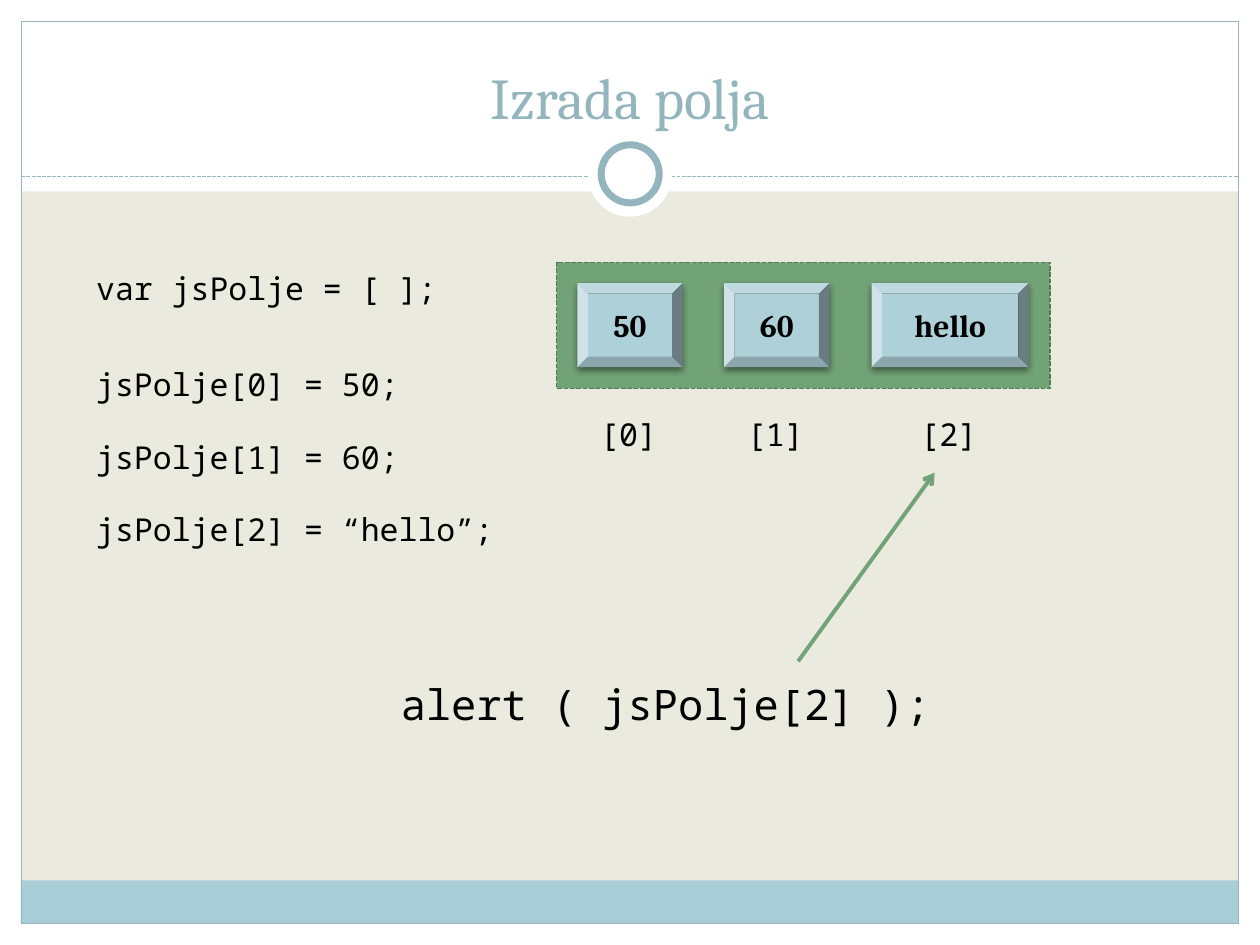
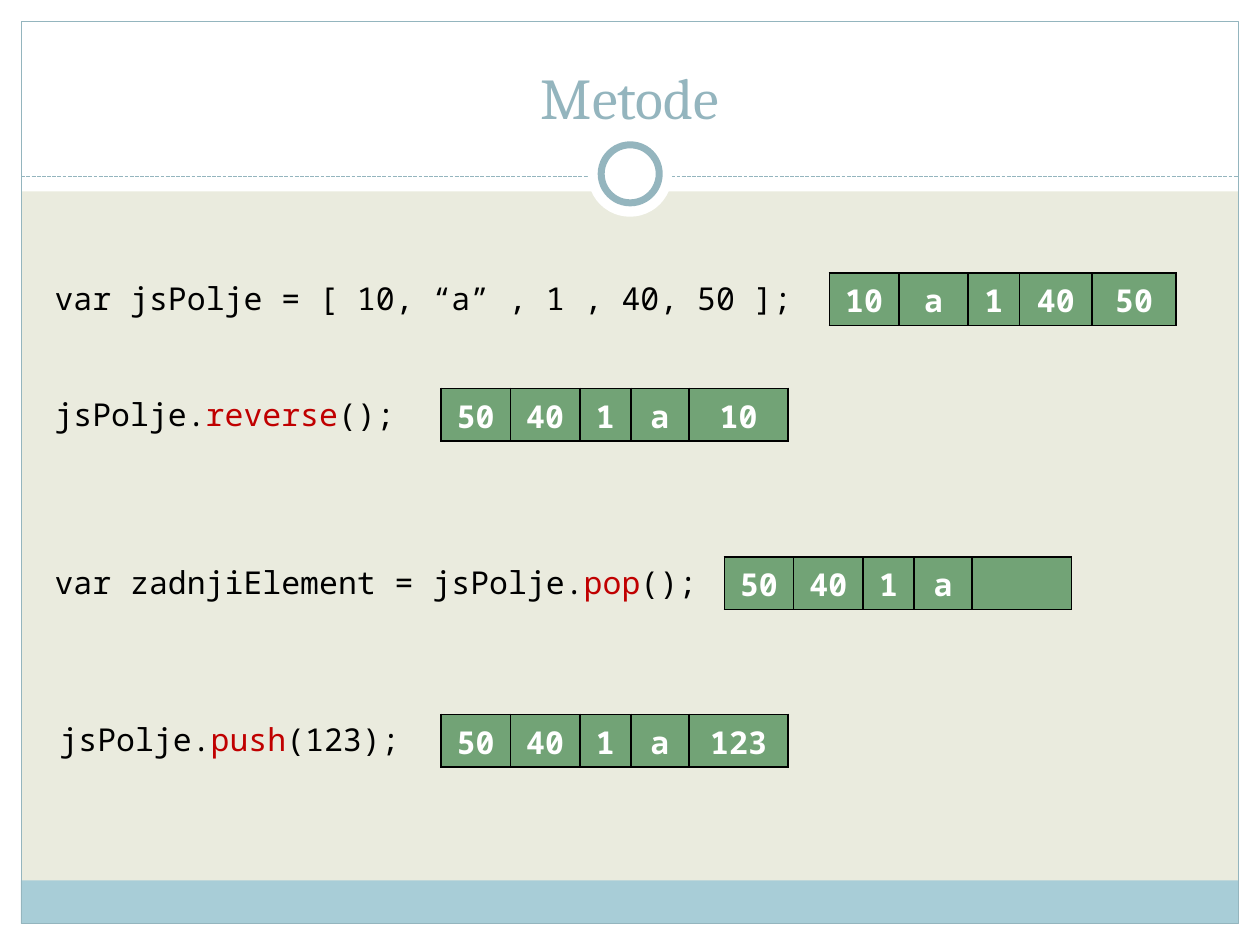
import dataclasses

import lxml.etree
import pptx
import pptx.dml.color
import pptx.enum.dml
import pptx.enum.shapes
import pptx.enum.text
import pptx.oxml
import pptx.oxml.ns
import pptx.util

Cm = pptx.util.Cm
Pt = pptx.util.Pt
qn = pptx.oxml.ns.qn
Color = pptx.dml.color.RGBColor.from_string
Shape = pptx.enum.shapes.MSO_SHAPE
STRAIGHT = pptx.enum.shapes.MSO_CONNECTOR.STRAIGHT
DASH = pptx.enum.dml.MSO_LINE.SQUARE_DOT
CENTER = pptx.enum.text.PP_ALIGN.CENTER
A_NS = 'xmlns:a="http://schemas.openxmlformats.org/drawingml/2006/main"'


@dataclasses.dataclass
class Theme:
    background: str = "EAEBDE"
    white: str = "FFFFFF"
    black: str = "000000"
    accent: str = "94B5BE"
    footer: str = "A8CDD7"
    green: str = "72A376"
    dark_green: str = "547957"
    tile: str = "AED0D9"
    highlight: str = "C00000"
    heading_font: str = "Cambria"
    code_font: str = "Noto Sans Mono"
    title_size: int = 33
    code_size: int = 18
    large_size: int = 24


theme = Theme()


def add_box(page, kind, at, fill=None, line=None, width=0.75):
    """Add a preset shape; at is left, top, width, height in cm."""
    box = page.shapes.add_shape(kind, *[Cm(length) for length in at])
    box.shadow.inherit = False
    if fill:
        box.fill.solid()
        box.fill.fore_color.rgb = Color(fill)
    else:
        box.fill.background()
    if line:
        box.line.color.rgb = Color(line)
        box.line.width = Pt(width)
    else:
        box.line.fill.background()
    return box


def add_code(page, left, top, *parts, size=theme.code_size):
    """Add one line of code; every second part is highlighted."""
    width = 0.51 + 0.0215 * size * len("".join(parts))
    height = 0.25 + 0.043 * size
    box = page.shapes.add_textbox(Cm(left), Cm(top), Cm(width), Cm(height))
    box.text_frame.word_wrap = False
    box.text_frame.auto_size = pptx.enum.text.MSO_AUTO_SIZE.SHAPE_TO_FIT_TEXT
    for index, part in enumerate(parts):
        span = box.text_frame.paragraphs[0].add_run()
        span.text = part
        span.font.name = theme.code_font
        span.font.size = Pt(size)
        span.font.color.rgb = Color(theme.highlight if index % 2 else theme.black)


deck = pptx.Presentation()
deck.slide_width = Cm(25.4)
deck.slide_height = Cm(19.05)

# Layout: background, without date, footer and number placeholders
layout = deck.slide_layouts.get_by_name("Title Only")
layout.background.fill.solid()
layout.background.fill.fore_color.rgb = Color(theme.background)
for placeholder in list(layout.placeholders)[1:]:
    layout.shapes.element.remove(placeholder.element)

# Pages and titles
pages = []
for heading in ("Izrada polja", "Metode"):
    page = deck.slides.add_slide(layout)
    title = page.shapes.title
    title.left, title.top, title.width, title.height = Cm(0.85), Cm(0.64), Cm(23.7), Cm(2.12)
    frame = title.text_frame
    frame.text = heading
    frame.auto_size = pptx.enum.text.MSO_AUTO_SIZE.NONE
    frame.vertical_anchor = pptx.enum.text.MSO_ANCHOR.BOTTOM
    para = frame.paragraphs[0]
    para.alignment = CENTER
    span = para.runs[0]
    span.font.name = theme.heading_font
    span.font.size = Pt(theme.title_size)
    span.font.color.rgb = Color(theme.accent)
    pages.append(page)
array_page, methods_page = pages

# Shared frame: margins, footer band, outline, divider and ring
for at, fill, line in (
    ((0, 18.62, 25.4, 0.43), theme.white, None),
    ((0, 0, 25.4, 3.86), theme.white, None),
    ((0, 0, 0.43, 19.05), theme.white, None),
    ((24.97, 0, 0.43, 19.05), theme.white, None),
    ((0.42, 17.75, 24.55, 0.87), theme.footer, None),
    ((0.43, 0.43, 24.54, 18.19), None, theme.accent),
):
    add_box(array_page, Shape.RECTANGLE, at, fill, line)
divider = array_page.shapes.add_connector(STRAIGHT, Cm(0.43), Cm(3.56), Cm(24.97), Cm(3.56))
divider.line.color.rgb = Color(theme.accent)
divider.line.width = Pt(0.75)
divider.line.dash_style = DASH
lxml.etree.SubElement(divider.element.spPr, qn("a:effectLst"))
add_box(array_page, Shape.OVAL, (11.85, 2.67, 1.7, 1.7), theme.white)
add_box(array_page, Shape.OVAL, (12.12, 2.92, 1.17, 1.17), theme.white, theme.accent, 4)

# The frame belongs to the layout, so both pages share it
for part in list(array_page.shapes)[1:]:
    layout.shapes.element.append(part.element)

# Page 1: code lines
for top, code in (
    (5.29, "var jsPolje = [ ];"),
    (7.24, "jsPolje[0] = 50;"),
    (8.7, "jsPolje[1] = 60;"),
    (10.16, "jsPolje[2] = “hello”;"),
):
    add_code(array_page, 1.69, top, code)

# Page 1: array with its elements and indexes
array = add_box(array_page, Shape.RECTANGLE, (11.22, 5.29, 9.95, 2.54),
                theme.green, theme.dark_green, 0.9)
array.line.dash_style = DASH
for index, (left, width, value) in enumerate(
        ((11.64, 2.12, "50"), (14.6, 2.12, "60"), (17.57, 3.17, "hello"))):
    tile = add_box(array_page, Shape.BEVEL, (left, 5.71, width, 1.69), theme.tile)
    effects = tile.element.spPr.find(qn("a:effectLst"))
    effects.append(pptx.oxml.parse_xml(
        f'<a:outerShdw {A_NS} blurRad="50800" dist="25400" dir="5400000" rotWithShape="0">'
        f'<a:srgbClr val="{theme.black}"><a:alpha val="45000"/></a:srgbClr></a:outerShdw>'))
    tile.text_frame.text = value
    para = tile.text_frame.paragraphs[0]
    para.alignment = CENTER
    span = para.runs[0]
    span.font.name = theme.heading_font
    span.font.size = Pt(theme.code_size)
    span.font.bold = True
    span.font.color.rgb = Color(theme.black)
    add_code(array_page, left + width / 2 - 0.85, 8.25, f"[{index}]")

# Page 1: reading an element
add_code(array_page, 7.83, 13.55, "alert ( jsPolje[2] );", size=theme.large_size)
arrow = array_page.shapes.add_connector(STRAIGHT, Cm(16.09), Cm(13.33), Cm(18.84), Cm(9.53))
arrow.line.color.rgb = Color(theme.green)
arrow.line.width = Pt(2.25)
lxml.etree.SubElement(arrow.line._get_or_add_ln(), qn("a:tailEnd"), type="arrow")
lxml.etree.SubElement(arrow.element.spPr, qn("a:effectLst"))

# Page 2: each method call with the resulting array
first_columns = (1.4, 1.4, 1.03, 1.47, 1.69)
other_columns = (1.4, 1.4, 1.03, 1.17, 2)
for code_left, top, code, table_left, columns, values in (
    (0.85, 5.5, ["var jsPolje = [ 10, “a” , 1 , 40, 50 ];"],
     16.72, first_columns, ("10", "a", "1", "40", "50")),
    (0.85, 7.83, ["jsPolje.", "reverse", "();"],
     8.89, other_columns, ("50", "40", "1", "a", "10")),
    (0.85, 11.23, ["var zadnjiElement = jsPolje.", "pop", "();"],
     14.6, other_columns, ("50", "40", "1", "a", "")),
    (0.95, 14.4, ["jsPolje.", "push", "(123);"],
     8.89, other_columns, ("50", "40", "1", "a", "123")),
):
    add_code(methods_page, code_left, top, *code)
    table = methods_page.shapes.add_table(
        1, len(values), Cm(table_left), Cm(top), Cm(sum(columns)), Cm(1.06)).table
    for index, (width, value) in enumerate(zip(columns, values)):
        table.columns[index].width = Cm(width)
        cell = table.cell(0, index)
        cell.fill.solid()
        cell.fill.fore_color.rgb = Color(theme.green)
        for place, side in enumerate(("lnL", "lnR", "lnT", "lnB")):
            cell._tc.get_or_add_tcPr().insert(place, pptx.oxml.parse_xml(
                f'<a:{side} {A_NS} w="12700"><a:solidFill>'
                f'<a:srgbClr val="{theme.black}"/></a:solidFill></a:{side}>'))
        cell.text_frame.text = value
        para = cell.text_frame.paragraphs[0]
        para.alignment = CENTER
        for span in para.runs:
            span.font.name = theme.code_font
            span.font.size = Pt(theme.code_size)
            span.font.bold = True
            span.font.color.rgb = Color(theme.white)

deck.save("out.pptx")
